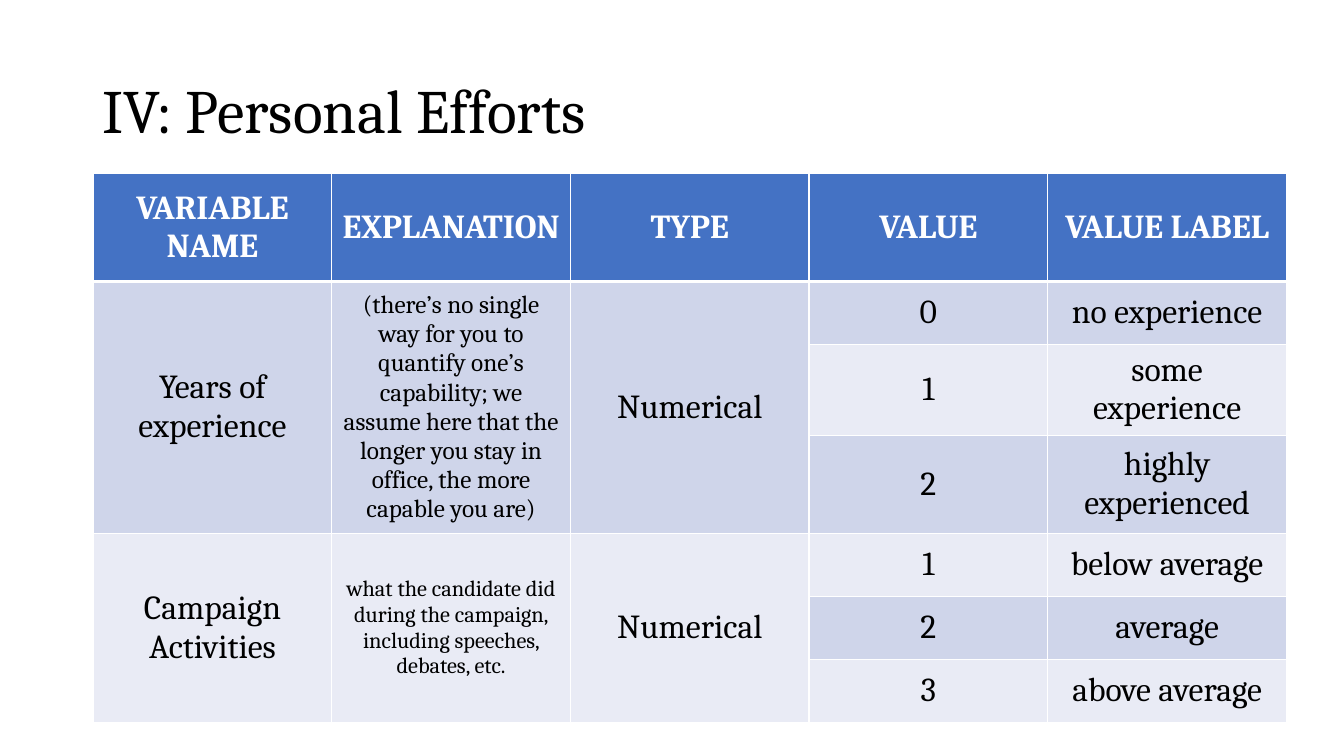
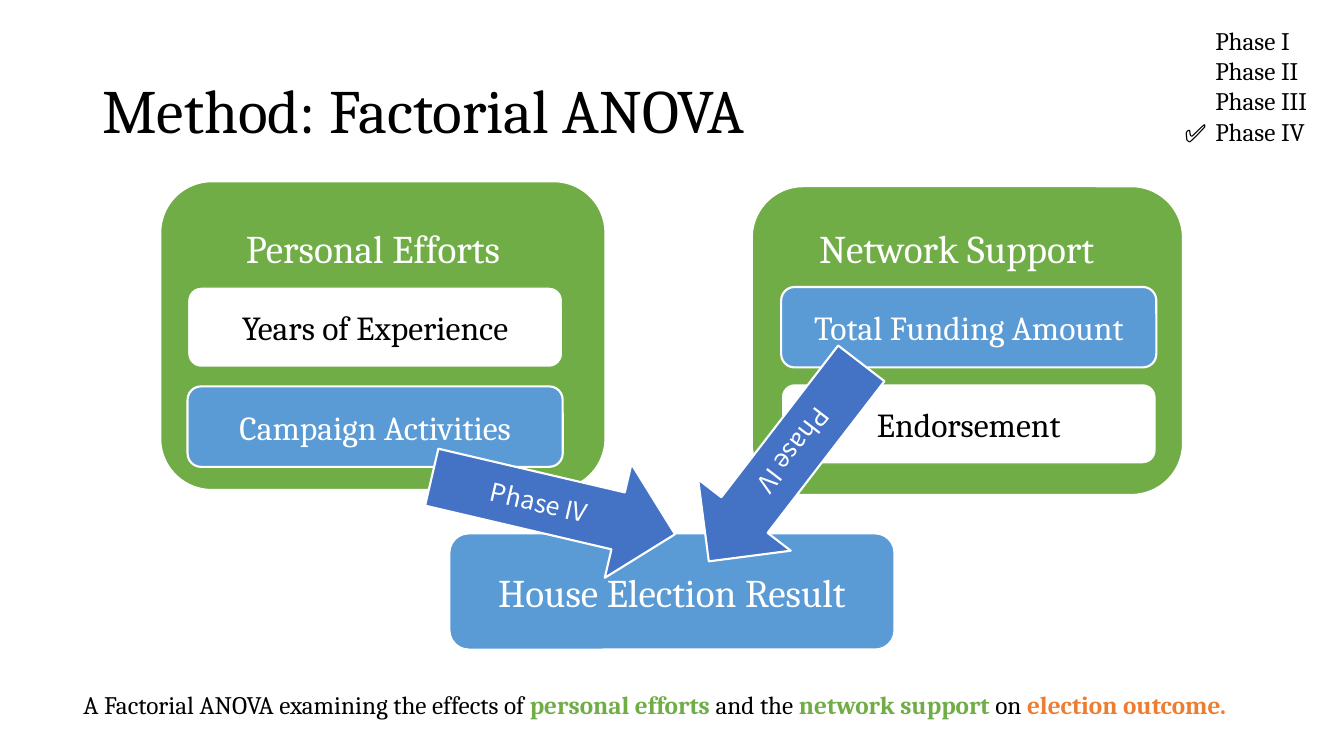
from dataclasses import dataclass

import lxml.etree
import pptx
import pptx.dml.color
import pptx.enum.shapes
import pptx.enum.text
import pptx.oxml.ns
import pptx.util

Pt = pptx.util.Pt
Shape = pptx.enum.shapes.MSO_SHAPE
Align = pptx.enum.text.PP_ALIGN
Anchor = pptx.enum.text.MSO_ANCHOR


@dataclass(frozen=True)
class Theme:
    black: str = "000000"
    white: str = "FFFFFF"
    blue: str = "4472C4"
    sky: str = "5B9BD5"
    green: str = "70AD47"
    orange: str = "ED7D31"
    band_dark: str = "CFD5EA"
    band_light: str = "E9EBF5"
    serif: str = "Cambria"
    sans: str = "Noto Sans CJK SC"
    title: int = 44
    heading: int = 28
    label: int = 24
    body: int = 18
    small: int = 16


THEME = Theme()


def rgb(color):
    return pptx.dml.color.RGBColor.from_string(color)


def apply(target, values):
    for name, value in values.items():
        setattr(target, name, value)


def paint(fill, color):
    fill.solid()
    fill.fore_color.rgb = rgb(color)


def border(cell, widths):
    """Give a cell white borders, widths in points for left, right, top, bottom."""
    properties = cell._tc.get_or_add_tcPr()
    for index, (side, width) in enumerate(zip("LRTB", widths)):
        line = lxml.etree.Element(pptx.oxml.ns.qn(f"a:ln{side}"), w=str(Pt(width)))
        fill = lxml.etree.SubElement(line, pptx.oxml.ns.qn("a:solidFill"))
        lxml.etree.SubElement(fill, pptx.oxml.ns.qn("a:srgbClr"), val=THEME.white)
        properties.insert(index, line)


class Slides:
    def __init__(self, theme):
        self.theme = theme
        self.deck = pptx.Presentation()
        apply(self.deck, {"slide_width": Pt(960), "slide_height": Pt(540)})
        self.page = None

    def new_page(self, title):
        self.page = self.deck.slides.add_slide(self.deck.slide_layouts[6])
        box = self.text((66, 29, 828, 104), [title], self.theme.title, anchor=Anchor.MIDDLE)
        box.text_frame.paragraphs[0].line_spacing = 0.9

    def fill_text(self, frame, lines, size, color=None, font=None, bold=False, align=Align.LEFT):
        """Fill a frame; a line is a string or a list of (text, color, bold) spans."""
        color = color or self.theme.black
        for index, line in enumerate(lines):
            para = frame.add_paragraph() if index else frame.paragraphs[0]
            para.alignment = align
            spans = [(line, color, bold)] if isinstance(line, str) else line
            for words, span_color, span_bold in spans:
                span = para.add_run()
                span.text = words
                apply(span.font, {"name": font or self.theme.serif,
                                  "size": Pt(size), "bold": span_bold})
                span.font.color.rgb = rgb(span_color)

    def text(self, place, lines, size, anchor=Anchor.TOP, wrap=True, **style):
        box = self.page.shapes.add_textbox(*map(Pt, place))
        apply(box.text_frame, {"word_wrap": wrap, "vertical_anchor": anchor})
        self.fill_text(box.text_frame, lines, size, **style)
        return box

    def shape(self, kind, place, fill, label="", size=THEME.label, color=THEME.white,
              line=THEME.white, weight=1.5, rotation=0, font=None):
        shape = self.page.shapes.add_shape(kind, *map(Pt, place))
        shape.shadow.inherit = False
        shape.rotation = rotation
        paint(shape.fill, fill)
        shape.line.color.rgb = rgb(line)
        shape.line.width = Pt(weight)
        if label:
            apply(shape.text_frame, {"word_wrap": True, "vertical_anchor": Anchor.MIDDLE})
            self.fill_text(shape.text_frame, [label], size, color, font, align=Align.CENTER)

    def factor(self, place, label, chosen):
        """Draw a factor inside a panel, highlighted when it was chosen."""
        theme = self.theme
        if chosen:
            self.shape(Shape.ROUNDED_RECTANGLE, place, theme.sky, label)
        else:
            self.shape(Shape.ROUNDED_RECTANGLE, place, theme.white, label,
                       color=theme.black, line=theme.green, weight=1)

    def cell(self, cell, words, fill, size, color, bold=False):
        cell.vertical_anchor = Anchor.MIDDLE
        paint(cell.fill, fill)
        if words:
            self.fill_text(cell.text_frame, [words], size, color, bold=bold, align=Align.CENTER)

    def variable_table(self, place, headers, variables, header_height, row_height):
        """Draw one merged block of rows for each variable."""
        theme = self.theme
        count = sum(len(variable[-1]) for variable in variables)
        table = self.page.shapes.add_table(count + 1, len(headers), *map(Pt, place)).table
        for column in table.columns:
            column.width = Pt(place[2] / len(headers))
        for index, row in enumerate(table.rows):
            row.height = Pt(row_height if index else header_height)
        for column, words in enumerate(headers):
            self.cell(table.cell(0, column), words, theme.blue, theme.label, theme.white, True)
        top = 1
        for name, explanation, size, kind, values in variables:
            for offset, (value, label) in enumerate(values):
                row = top + offset
                words = ["" if offset else item for item in (name, explanation, kind)]
                fill = theme.band_dark if row % 2 else theme.band_light
                for column, item in enumerate(words + [value, label]):
                    self.cell(table.cell(row, column), item, fill,
                              size if column == 1 else theme.label, theme.black)
            for column in range(3):
                table.cell(top, column).merge(table.cell(top + len(values) - 1, column))
            top += len(values)
        for row in range(count + 1):
            for column in range(len(headers)):
                border(table.cell(row, column),
                       (1, 1, 3 if row == 1 else 1, 1 if row else 3))


def personal_efforts(slides):
    slides.new_page("IV: Personal Efforts")
    slides.variable_table(
        (66.5, 124, 852.5, 347),
        ["VARIABLE NAME", "EXPLANATION", "TYPE", "VALUE", "VALUE LABEL"],
        [("Years of experience",
          "(there’s no single way for you to quantify one’s capability; we assume here "
          "that the longer you stay in office, the more capable you are)",
          THEME.body, "Numerical",
          [("0", "no experience"), ("1", "some experience"), ("2", "highly experienced")]),
         ("Campaign Activities",
          "what the candidate did during the campaign, including speeches, debates, etc.",
          THEME.small, "Numerical",
          [("1", "below average"), ("2", "average"), ("3", "above average")])],
        header_height=77, row_height=45)


def factorial_anova(slides):
    slides.new_page("Method: Factorial ANOVA")
    panels = [
        ((114.5, 129.5, 318, 220.5), "Personal Efforts", 168.5, 134,
         [("Years of Experience", 205, False), ("Campaign Activities", 276, True)]),
        ((537, 133, 308, 220.5), "Network Support", 578, 558,
         [("Total Funding Amount", 205, True), ("Endorsement", 274, False)]),
    ]
    for place, heading, heading_left, factor_left, factors in panels:
        slides.shape(Shape.ROUNDED_RECTANGLE, place, THEME.green)
        slides.text((heading_left, 157, 264, 41), [heading], THEME.heading, color=THEME.white)
        for label, top, chosen in factors:
            slides.factor((factor_left, top, 268, 57.5), label, chosen)
    slides.shape(Shape.ROUNDED_RECTANGLE, (321, 381, 318, 83), THEME.sky,
                 "House Election Result", THEME.heading)
    for left, top, rotation in [(306, 319.5, 13.2), (471.5, 288.5, 127.6)]:
        slides.shape(Shape.RIGHT_ARROW, (left, top, 178.5, 83.5), THEME.blue, "Phase IV",
                     THEME.body, rotation=rotation, font=THEME.sans)
    slides.text((52.5, 489, 896.5, 51), [[
        ("A Factorial ANOVA examining the effects of ", THEME.black, False),
        ("personal efforts ", THEME.green, True),
        ("and the ", THEME.black, False),
        ("network support ", THEME.green, True),
        ("on ", THEME.black, False),
        ("election outcome.", THEME.orange, True)]], THEME.body)
    slides.text((861, 14.5, 98, 94), ["Phase I", "Phase II", "Phase III", "Phase IV"],
                THEME.body)
    slides.text((839, 80, 32.5, 29), ["✅"], THEME.body, wrap=False, font=THEME.sans)


def main():
    slides = Slides(THEME)
    personal_efforts(slides)
    factorial_anova(slides)
    slides.deck.save("out.pptx")


if __name__ == "__main__":
    main()
